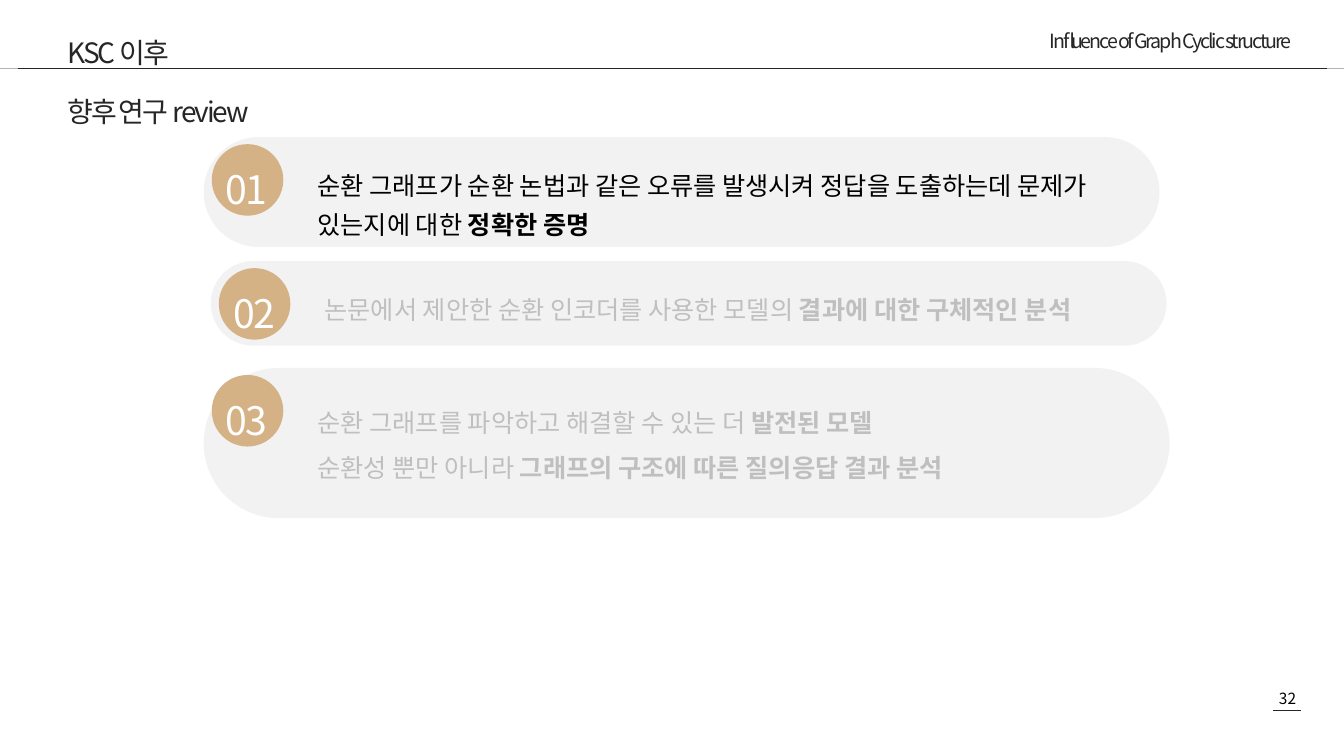
"""Build the slide that reviews three directions of future research."""
from dataclasses import dataclass

from lxml import etree
from pptx import Presentation
from pptx.dml.color import RGBColor
from pptx.enum.shapes import MSO_CONNECTOR, MSO_SHAPE
from pptx.enum.text import MSO_ANCHOR, MSO_AUTO_SIZE, PP_ALIGN
from pptx.oxml.ns import qn
from pptx.util import Inches, Pt

ROUNDED, OVAL, RECTANGLE = MSO_SHAPE.ROUNDED_RECTANGLE, MSO_SHAPE.OVAL, MSO_SHAPE.RECTANGLE
STRAIGHT = MSO_CONNECTOR.STRAIGHT
LEFT, CENTER, RIGHT, JUSTIFY = PP_ALIGN.LEFT, PP_ALIGN.CENTER, PP_ALIGN.RIGHT, PP_ALIGN.JUSTIFY
TOP, MIDDLE = MSO_ANCHOR.TOP, MSO_ANCHOR.MIDDLE
GROW, FIXED = MSO_AUTO_SIZE.SHAPE_TO_FIT_TEXT, MSO_AUTO_SIZE.NONE

FONT = "Noto Sans CJK KR"
COLORS = {
    "ink": "262626",
    "black": "000000",
    "white": "FFFFFF",
    "muted": "BFBFBF",
    "band": "F2F2F2",
    "badge": "D5B186",
}
SLIDE_WIDTH, SLIDE_HEIGHT = 13.33, 7.5
BADGE_SIZE = 0.71
TIGHT = -1.5


@dataclass(frozen=True)
class Box:
    left: float
    top: float
    width: float
    height: float

    def lengths(self) -> tuple:
        return tuple(Inches(n) for n in (self.left, self.top, self.width, self.height))


@dataclass(frozen=True)
class TextStyle:
    size: float
    color: str
    align: PP_ALIGN = LEFT
    anchor: MSO_ANCHOR = TOP
    line_spacing: float = 1.0
    tracking: float = 0
    auto_size: MSO_AUTO_SIZE = GROW


@dataclass(frozen=True)
class Line:
    plain: str
    bold: str = ""


@dataclass(frozen=True)
class Topic:
    number: str
    band: Box
    number_box: Box
    text_width: float
    text_height: float
    lines: tuple[Line, ...]
    style: TextStyle


TITLE = TextStyle(20, "ink", LEFT, MIDDLE, 1.3, TIGHT, FIXED)
HEADER = TextStyle(14, "ink", RIGHT, tracking=TIGHT, auto_size=FIXED)
PAGE_NUMBER = TextStyle(11, "black", CENTER)
BADGE_NUMBER = TextStyle(28, "white", CENTER, MIDDLE, 1.5, TIGHT)

TOPICS = (
    Topic("01", Box(2.02, 1.36, 9.48, 1.09), Box(2.09, 1.38, 0.71, 0.75), 8.29, 1.24,
          (Line("순환 그래프가 순환 논법과 같은 오류를 발생시켜 정답을 도출하는데 문제가 있는지에 대한 ",
                "정확한 증명"),),
          TextStyle(18, "black", line_spacing=1.3)),
    Topic("02", Box(2.09, 2.59, 9.48, 0.84), Box(2.16, 2.61, 0.73, 0.75), 8.54, 0.85,
          (Line("논문에서 제안한 순환 인코더를 사용한 모델의 ", "결과에 대한 구체적인 분석"),),
          TextStyle(18, "muted", line_spacing=1.3)),
    Topic("03", Box(2.02, 3.65, 9.58, 1.49), Box(2.11, 3.67, 0.67, 0.75), 8.75, 1.36,
          (Line("순환 그래프를 파악하고 해결할 수 있는 더 ", "발전된 모델"),
           Line("순환성 뿐만 아니라 ", "그래프의 구조에 따른 질의응답 결과 분석")),
          TextStyle(18, "muted", JUSTIFY, line_spacing=1.5)),
)


def color(name: str) -> RGBColor:
    return RGBColor.from_string(COLORS[name])


def add_text(shapes, box: Box, lines: tuple[Line, ...], style: TextStyle) -> None:
    text_frame = shapes.add_textbox(*box.lengths()).text_frame
    text_frame.word_wrap = True
    text_frame.auto_size = style.auto_size
    text_frame.vertical_anchor = style.anchor
    text_frame.text = "\n".join(line.plain for line in lines)
    for paragraph, line in zip(text_frame.paragraphs, lines):
        paragraph.alignment = style.align
        paragraph.line_spacing = style.line_spacing
        if line.bold:
            bold_run = paragraph.add_run()
            bold_run.text = line.bold
            bold_run.font.bold = True
        for run in paragraph.runs:
            run.font.name = FONT
            run.font.size = Pt(style.size)
            run.font.color.rgb = color(style.color)
            properties = run.font._element
            etree.SubElement(properties, qn("a:ea"), typeface=FONT)
            if style.tracking:
                properties.set("spc", str(int(style.tracking * 100)))


def add_filled(shapes, kind: MSO_SHAPE, box: Box, fill: str) -> None:
    shape = shapes.add_shape(kind, *box.lengths())
    shape.shadow.inherit = False
    shape.fill.solid()
    shape.fill.fore_color.rgb = color(fill)
    shape.line.fill.background()
    if kind == ROUNDED:
        shape.adjustments[0] = 0.5


def add_rule(shapes, left: float, right: float, top: float) -> None:
    connector = shapes.add_connector(
        STRAIGHT, Inches(left), Inches(top), Inches(right), Inches(top))
    connector.line.color.rgb = color("ink")
    connector.line.width = Pt(0.5)
    etree.SubElement(connector._element.spPr, qn("a:effectLst"))


def add_topic(shapes, topic: Topic) -> None:
    group_shapes = shapes.add_group_shape().shapes
    band = topic.band
    badge = Box(band.left + 0.08, band.top + 0.07, BADGE_SIZE, BADGE_SIZE)
    text_box = Box(band.left + 1.03, band.top + 0.19, topic.text_width, topic.text_height)
    add_filled(group_shapes, ROUNDED, band, "band")
    add_filled(group_shapes, OVAL, badge, "badge")
    add_text(group_shapes, text_box, topic.lines, topic.style)
    add_text(group_shapes, topic.number_box, (Line(topic.number),), BADGE_NUMBER)


def main() -> None:
    presentation = Presentation()
    presentation.slide_width = Inches(SLIDE_WIDTH)
    presentation.slide_height = Inches(SLIDE_HEIGHT)
    shapes = presentation.slides.add_slide(presentation.slide_layouts[6]).shapes

    add_text(shapes, Box(12.43, 6.79, 0.68, 0.29), (Line("32"),), PAGE_NUMBER)
    add_rule(shapes, 12.63, 12.9, 7.05)
    add_text(shapes, Box(7.16, 0.24, 5.75, 0.38),
             (Line("Influence of Graph Cyclic structure"),), HEADER)
    add_filled(shapes, RECTANGLE, Box(0, 0.68, SLIDE_WIDTH, 0), "ink")
    add_rule(shapes, 0.18, 13.16, 0.68)
    for top, title in ((0.13, "KSC 이후"), (0.71, "향후 연구 review")):
        add_text(shapes, Box(0.57, top, 6.1, 0.68), (Line(title),), TITLE)
    for topic in TOPICS:
        add_topic(shapes, topic)
    presentation.save("out.pptx")


if __name__ == "__main__":
    main()
